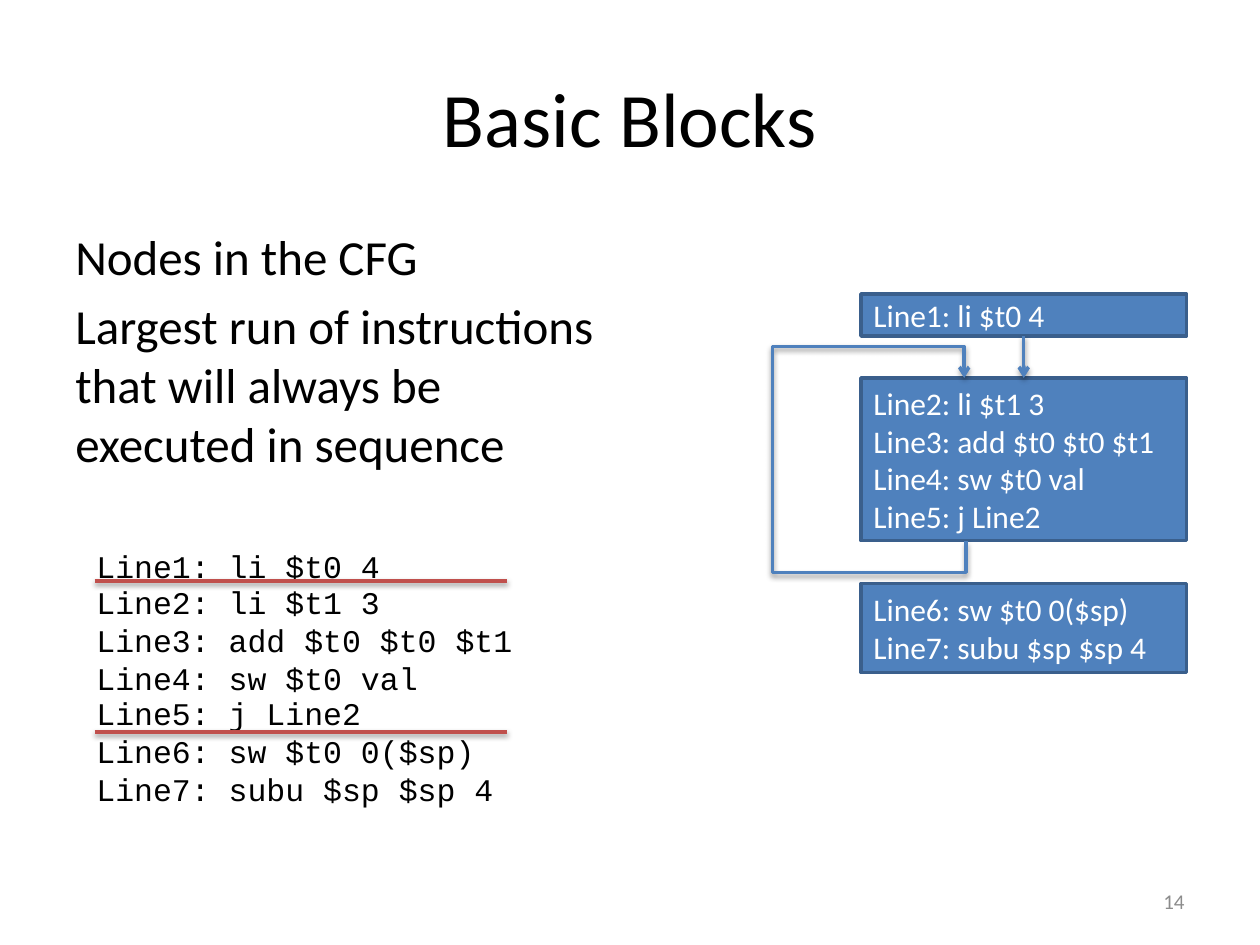
from dataclasses import dataclass
from lxml.etree import SubElement
from pptx import Presentation
from pptx.dml.color import RGBColor
from pptx.enum.shapes import MSO_CONNECTOR, MSO_SHAPE
from pptx.enum.text import MSO_ANCHOR, PP_ALIGN
from pptx.oxml.ns import qn
from pptx.shapes.autoshape import Shape
from pptx.shapes.connector import Connector
from pptx.slide import Slide
from pptx.util import Pt

HUES = {"ink": "000000", "gray": "8C8C8C", "blue": "4F81BD",
        "edge": "3A5F8C", "red": "C0504D", "white": "FFFFFF"}
CODE = ["Line1: li $t0 4", "Line2: li $t1 3", "Line3: add $t0 $t0 $t1",
        "Line4: sw $t0 val", "Line5: j Line2", "Line6: sw $t0 0($sp)",
        "Line7: subu $sp $sp 4"]


@dataclass
class Style:
    size: float
    hue: str = "ink"
    face: str = "Calibri"
    align: PP_ALIGN = PP_ALIGN.LEFT
    gap: float = 0


@dataclass
class Part:
    """A run of code lines, first to last, placed from the given top."""
    first: int
    last: int
    top: float
    high: float

    def lines(self) -> list[str]:
        return CODE[self.first - 1:self.last]


LIST = [Part(1, 1, 308.9, 28.8), Part(2, 4, 329.8, 72.7), Part(5, 7, 393.1, 72.7)]
BLOCKS = [Part(1, 1, 168, 24), Part(2, 5, 216, 93), Part(6, 7, 333.4, 50.9)]
CUTS = [332, 418.3]


def color(name: str) -> RGBColor:
    return RGBColor.from_string(HUES[name])


def write(shape: Shape, lines: list[str], style: Style,
          anchor: MSO_ANCHOR = MSO_ANCHOR.TOP, wrap: bool = True) -> None:
    frame = shape.text_frame
    frame.text = "\n".join(lines)
    frame.word_wrap = wrap
    frame.vertical_anchor = anchor
    looks = {"size": Pt(style.size), "name": style.face, "bold": False}
    for para in frame.paragraphs:
        para.alignment = style.align
        para.space_before = Pt(style.gap)
        for run in para.runs:
            for key, value in looks.items():
                setattr(run.font, key, value)
            run.font.color.rgb = color(style.hue)


def label(slide: Slide, box: tuple, lines: list[str], style: Style, **rest) -> None:
    write(slide.shapes.add_textbox(*map(Pt, box)), lines, style, **rest)


def block(slide: Slide, part: Part) -> Shape:
    shape = slide.shapes.add_shape(
        MSO_SHAPE.RECTANGLE, *map(Pt, (492, part.top, 186, part.high)))
    shape.shadow.inherit = False
    shape.fill.solid()
    shape.fill.fore_color.rgb = color("blue")
    shape.line.color.rgb = color("edge")
    shape.line.width = Pt(2)
    write(shape, part.lines(), Style(18, "white"), MSO_ANCHOR.MIDDLE)
    return shape


def link(slide: Slide, kind: MSO_CONNECTOR, ends: tuple, hue: str,
         arrow: bool = False) -> Connector:
    line = slide.shapes.add_connector(kind, *map(Pt, ends))
    line.line.color.rgb = color(hue)
    line.line.width = Pt(2)
    if arrow:
        SubElement(line.line._get_or_add_ln(), qn("a:tailEnd"), type="arrow")
    glow = SubElement(line._element.spPr, qn("a:effectLst"))
    shade = SubElement(glow, qn("a:outerShdw"), blurRad=str(Pt(3.1)),
                       dist=str(Pt(1.6)), dir="5400000", rotWithShape="0")
    tint = SubElement(shade, qn("a:srgbClr"), val=HUES["ink"])
    SubElement(tint, qn("a:alpha"), val="38000")
    return line


def loop(slide: Slide, part: Part) -> None:
    """Draw the jump from a block's bottom, round its left, to its top."""
    mid, right, out, side = part.top + part.high / 2, 552, 18, 111.5
    left = right - 0.5 - part.high / 2
    line = link(slide, MSO_CONNECTOR.ELBOW,
                (left + part.high, mid - 0.5, left, mid + 0.5), "blue", True)
    props = line._element.spPr
    props.find(qn("a:xfrm")).set("rot", "5400000")
    geom = props.find(qn("a:prstGeom"))
    geom.set("prst", "bentConnector5")
    guides = geom.find(qn("a:avLst"))
    ratios = (-out / part.high, side, 1 + out / part.high)
    for num, ratio in enumerate(ratios, 1):
        SubElement(guides, qn("a:gd"), name=f"adj{num}",
                   fmla=f"val {round(ratio * 100000)}")


def main() -> None:
    deck = Presentation()
    deck.slide_width, deck.slide_height = Pt(720), Pt(540)
    slide = deck.slides.add_slide(deck.slide_layouts[5])

    title = slide.shapes.title
    place = {"left": 36, "top": 21.6, "width": 648, "height": 90}
    for key, value in place.items():
        setattr(title, key, Pt(value))
    write(title, ["Basic Blocks"], Style(44, align=PP_ALIGN.CENTER), MSO_ANCHOR.MIDDLE)

    label(slide, (36, 126, 318, 356.4),
          ["Nodes in the CFG",
           "Largest run of instructions that will always be executed in sequence"],
          Style(28, gap=5.6))
    label(slide, (516, 500.5, 168, 28.8), ["14"],
          Style(12, "gray", align=PP_ALIGN.RIGHT), anchor=MSO_ANCHOR.MIDDLE)
    for part in LIST:
        label(slide, (48, part.top, 253, part.high), part.lines(),
              Style(18, face="Courier New"), wrap=False)

    start, body, _ = [block(slide, part) for part in BLOCKS]
    loop(slide, BLOCKS[1])
    flow = link(slide, MSO_CONNECTOR.STRAIGHT, (585, 192, 585, 216), "blue", True)
    flow.begin_connect(start, 2)
    flow.end_connect(body, 0)
    for cut in CUTS:
        link(slide, MSO_CONNECTOR.STRAIGHT, (54, cut, 290, cut), "red")

    deck.save("out.pptx")


if __name__ == "__main__":
    main()
